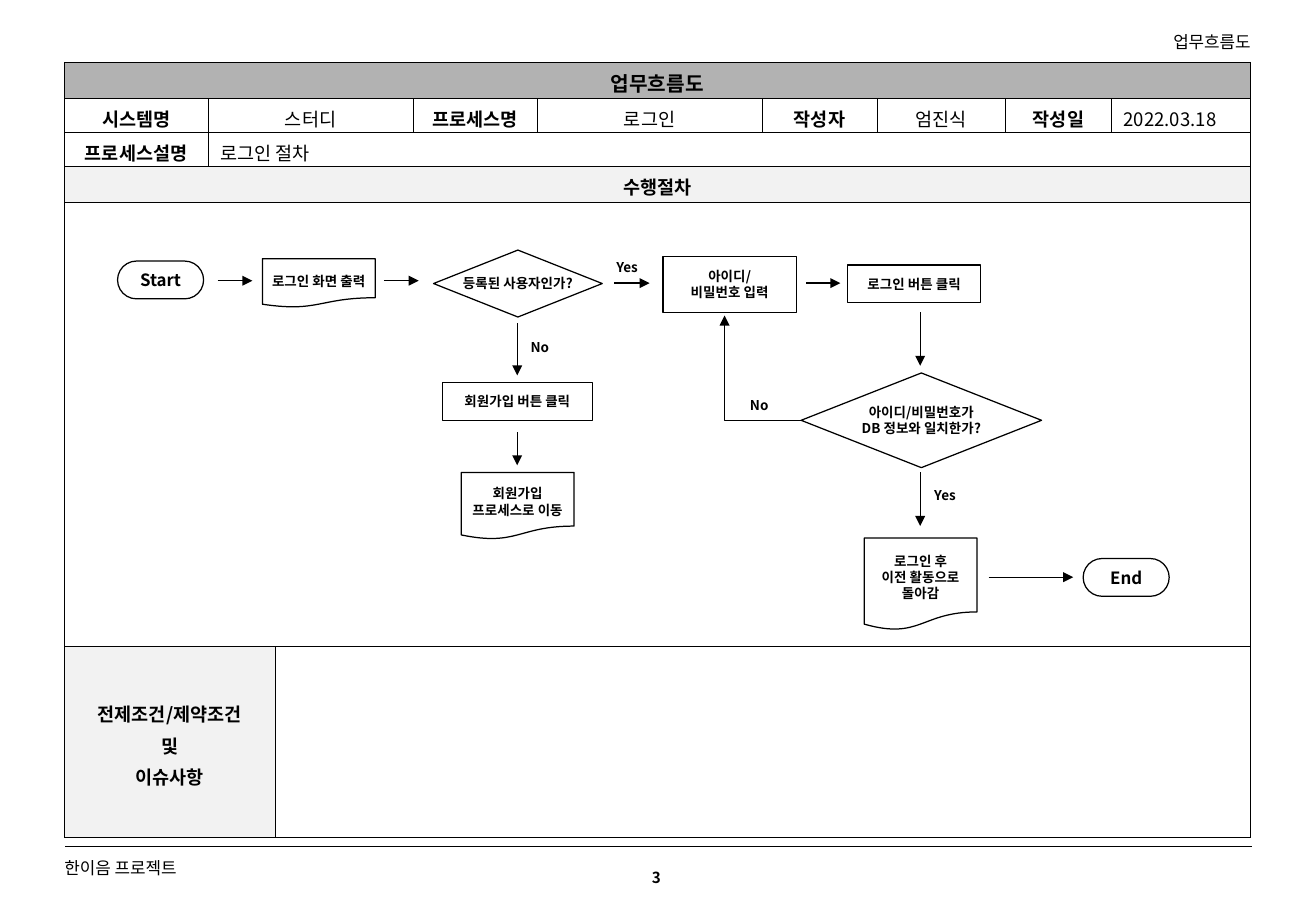
from typing import Any, NamedTuple

import lxml.etree
import pptx
import pptx.dml.color
import pptx.enum.shapes
import pptx.enum.text
import pptx.oxml
import pptx.oxml.ns
import pptx.util

Cm = pptx.util.Cm
Pt = pptx.util.Pt
Kind = pptx.enum.shapes.MSO_SHAPE
Connector = pptx.enum.shapes.MSO_CONNECTOR
Align = pptx.enum.text.PP_ALIGN
Anchor = pptx.enum.text.MSO_ANCHOR
qn = pptx.oxml.ns.qn


class Theme:
    font = "Noto Sans CJK KR"
    ink = "000000"
    title_fill = "B2B2B2"
    section_fill = "F2F2F2"
    title_size = 12
    table_size = 11
    terminal_size = 10
    margin_size = 10
    page_size = 9
    flow_size = 8
    line_width = 0.75
    border_width = 0.45
    frame_width = 0.34


class Node(NamedTuple):
    kind: Any
    left: float
    top: float
    width: float
    height: float
    text: str
    size: int = Theme.flow_size


class Label(NamedTuple):
    left: float
    top: float
    width: float
    height: float
    text: str
    size: int = Theme.flow_size
    bold: bool = True
    align: Any = Align.CENTER
    margin: float = 0.13


class Line(NamedTuple):
    x1: float
    y1: float
    x2: float
    y2: float


class TableCell(NamedTuple):
    row: int
    column: int
    span: int
    text: str = ""
    bold: bool = True
    align: Any = Align.CENTER
    fill: str = ""
    size: int = Theme.table_size


COLUMNS = [3.0, 1.4, 2.9, 2.59, 4.7, 2.41, 2.69, 2.21, 2.9]
ROWS = [0.76, 0.71, 0.71, 0.74, 9.3, 3.99]
CELLS = [
    TableCell(0, 0, 9, "업무흐름도", fill=Theme.title_fill, size=Theme.title_size),
    TableCell(1, 0, 1, "시스템명"),
    TableCell(1, 1, 2, "스터디", False),
    TableCell(1, 3, 1, "프로세스명"),
    TableCell(1, 4, 1, "로그인", False),
    TableCell(1, 5, 1, "작성자"),
    TableCell(1, 6, 1, "엄진식", False),
    TableCell(1, 7, 1, "작성일"),
    TableCell(1, 8, 1, "2022.03.18", False, Align.LEFT),
    TableCell(2, 0, 1, "프로세스설명"),
    TableCell(2, 1, 8, "로그인 절차", False, Align.LEFT),
    TableCell(3, 0, 9, "수행절차", fill=Theme.section_fill),
    TableCell(4, 0, 9),
    TableCell(5, 0, 2, "전제조건/제약조건\n및\n이슈사항", fill=Theme.section_fill),
    TableCell(5, 2, 7),
]
NODES = [
    Node(Kind.ROUNDED_RECTANGLE, 2.46, 5.46, 1.8, 0.79, "Start", Theme.terminal_size),
    Node(Kind.FLOWCHART_DOCUMENT, 5.49, 5.41, 2.36, 1.02, "로그인 화면 출력"),
    Node(Kind.DIAMOND, 9.07, 5.23, 3.53, 1.4, "등록된 사용자인가?"),
    Node(Kind.RECTANGLE, 13.87, 5.36, 2.79, 1.17, "아이디/\n비밀번호 입력"),
    Node(Kind.RECTANGLE, 17.73, 5.54, 2.79, 0.79, "로그인 버튼 클릭"),
    Node(Kind.RECTANGLE, 9.25, 8.0, 3.15, 0.79, "회원가입 버튼 클릭"),
    Node(Kind.FLOWCHART_DOCUMENT, 9.65, 9.88, 2.36, 1.4, "회원가입 프로세스로 이동"),
    Node(Kind.DIAMOND, 16.76, 7.8, 5.03, 1.98, "아이디/비밀번호가\vDB 정보와 일치한가?"),
    Node(Kind.FLOWCHART_DOCUMENT, 18.08, 11.25, 2.36, 1.93, "로그인 후\n이전 활동으로 돌아감"),
    Node(Kind.ROUNDED_RECTANGLE, 22.66, 11.68, 1.8, 0.79, "End", Theme.terminal_size),
]
LABELS = [
    Label(12.32, 5.28, 1.6, 0.61, "Yes"),
    Label(10.8, 6.96, 0.99, 0.61, "No"),
    Label(15.39, 8.18, 0.99, 0.61, "No"),
    Label(18.97, 10.06, 1.6, 0.61, "Yes"),
    Label(18.06, 0.66, 8.1, 0.43, "업무흐름도", Theme.margin_size, False, Align.RIGHT, 0),
    Label(1.35, 17.93, 9.02, 0.43, "한이음 프로젝트", Theme.margin_size, False, Align.LEFT, 0),
    Label(13.03, 18.03, 1.4, 0.64, "3", Theme.page_size),
]
ARROWS = [
    Line(4.55, 5.87, 5.28, 5.87),
    Line(8.03, 5.87, 8.76, 5.87),
    Line(12.85, 5.92, 13.59, 5.92),
    Line(16.87, 5.92, 17.58, 5.92),
    Line(10.82, 6.76, 10.82, 7.85),
    Line(10.82, 9.04, 10.82, 9.73),
    Line(19.25, 6.53, 19.25, 7.65),
    Line(19.25, 9.88, 19.25, 11.0),
    Line(20.68, 12.07, 22.45, 12.07),
]
RETRY_ARROW = Line(16.76, 8.79, 15.16, 6.6)
FOOTER_RULE = Line(26.19, 17.7, 1.37, 17.7)


def set_values(target: Any, values: dict[str, Any]) -> None:
    for name, value in values.items():
        setattr(target, name, value)


def color(code: str) -> pptx.dml.color.RGBColor:
    return pptx.dml.color.RGBColor.from_string(code)


def write_text(frame: Any, text: str, size: int, bold: bool, align: Any, gap: float = 0) -> None:
    """Fill a text frame; gap is the space in points between paragraphs."""
    frame.text = text
    for index, paragraph in enumerate(frame.paragraphs):
        set_values(paragraph, {"alignment": align, "space_before": Pt(gap if index else 0)})
        for run in paragraph.runs:
            set_values(run.font, {"name": Theme.font, "size": Pt(size), "bold": bold})
            run.font.color.rgb = color(Theme.ink)
            east_asian = lxml.etree.SubElement(run.font._element, qn("a:ea"))
            east_asian.set("typeface", Theme.font)


def draw_borders(cell: Any, item: TableCell) -> None:
    """Thin lines frame the table and its lower rows; other lines are wider."""
    lower = item.row >= 4
    thin = {
        "L": lower or item.column == 0,
        "R": lower or item.column + item.span == len(COLUMNS),
        "T": lower or item.row == 0,
        "B": lower or item.row == 3,
    }
    properties = cell._tc.get_or_add_tcPr()
    for index, (side, is_thin) in enumerate(thin.items()):
        width = Pt(Theme.frame_width if is_thin else Theme.border_width)
        border = pptx.oxml.parse_xml(
            f'<a:ln{side} {pptx.oxml.ns.nsdecls("a")} w="{width}"><a:solidFill>'
            f'<a:srgbClr val="{Theme.ink}"/></a:solidFill></a:ln{side}>'
        )
        properties.insert(index, border)


def draw_table(slide: Any) -> None:
    table = slide.shapes.add_table(
        len(ROWS), len(COLUMNS), Cm(1.35), Cm(1.3), Cm(sum(COLUMNS)), Cm(sum(ROWS))
    ).table
    set_values(table, {"first_row": False, "horz_banding": False})
    for column, width in zip(table.columns, COLUMNS):
        column.width = Cm(width)
    for row, height in zip(table.rows, ROWS):
        row.height = Cm(height)
    for item in CELLS:
        cells = [table.cell(item.row, item.column + step) for step in range(item.span)]
        if item.span > 1:
            cells[0].merge(cells[-1])
        for cell in cells:
            if item.fill:
                cell.fill.solid()
                cell.fill.fore_color.rgb = color(item.fill)
            else:
                cell.fill.background()
            draw_borders(cell, item)
        anchor = Anchor.MIDDLE if item.row == 5 else Anchor.TOP
        set_values(cells[0], {"margin_top": Cm(0.13), "margin_bottom": 0, "vertical_anchor": anchor})
        write_text(cells[0].text_frame, item.text, item.size, item.bold, item.align, 2.8)


def draw_node(slide: Any, node: Node) -> None:
    shape = slide.shapes.add_shape(
        node.kind, Cm(node.left), Cm(node.top), Cm(node.width), Cm(node.height)
    )
    shape.shadow.inherit = False
    shape.fill.background()
    shape.line.color.rgb = color(Theme.ink)
    shape.line.width = Pt(Theme.line_width)
    if node.kind == Kind.ROUNDED_RECTANGLE:
        shape.adjustments[0] = 0.5
    top = Cm(0.1) if node.kind == Kind.FLOWCHART_DOCUMENT else 0
    set_values(shape.text_frame, {
        "margin_left": Cm(0.13), "margin_right": Cm(0.13), "margin_top": top, "margin_bottom": 0,
        "vertical_anchor": Anchor.MIDDLE, "word_wrap": node.kind != Kind.DIAMOND,
    })
    write_text(shape.text_frame, node.text, node.size, True, Align.CENTER)


def draw_label(slide: Any, label: Label) -> None:
    box = slide.shapes.add_textbox(Cm(label.left), Cm(label.top), Cm(label.width), Cm(label.height))
    margins = {f"margin_{side}": Cm(label.margin) for side in ("left", "right", "top", "bottom")}
    set_values(box.text_frame, {"word_wrap": True, **margins})
    write_text(box.text_frame, label.text, label.size, label.bold, label.align)


def draw_line(slide: Any, line: Line, kind: Any = Connector.STRAIGHT, arrow: bool = True) -> Any:
    connector = slide.shapes.add_connector(kind, *(Cm(value) for value in line))
    connector.line.color.rgb = color(Theme.ink)
    connector.line.width = Pt(Theme.line_width)
    properties = connector._element.spPr
    if arrow:
        head = lxml.etree.SubElement(properties.find(qn("a:ln")), qn("a:tailEnd"))
        head.set("type", "triangle")
    lxml.etree.SubElement(properties, qn("a:effectLst"))
    return connector


def main() -> None:
    presentation = pptx.Presentation()
    set_values(presentation, {"slide_width": Cm(27.53), "slide_height": Cm(19.05)})
    slide = presentation.slides.add_slide(presentation.slide_layouts[6])
    draw_line(slide, FOOTER_RULE, arrow=False)
    draw_table(slide)
    for node in NODES:
        draw_node(slide, node)
    for arrow in ARROWS:
        draw_line(slide, arrow)
    retry = draw_line(slide, RETRY_ARROW, Connector.ELBOW)
    retry._element.spPr.find(qn("a:prstGeom")).set("prst", "bentConnector2")
    for label in LABELS:
        draw_label(slide, label)
    presentation.save("out.pptx")


if __name__ == "__main__":
    main()
